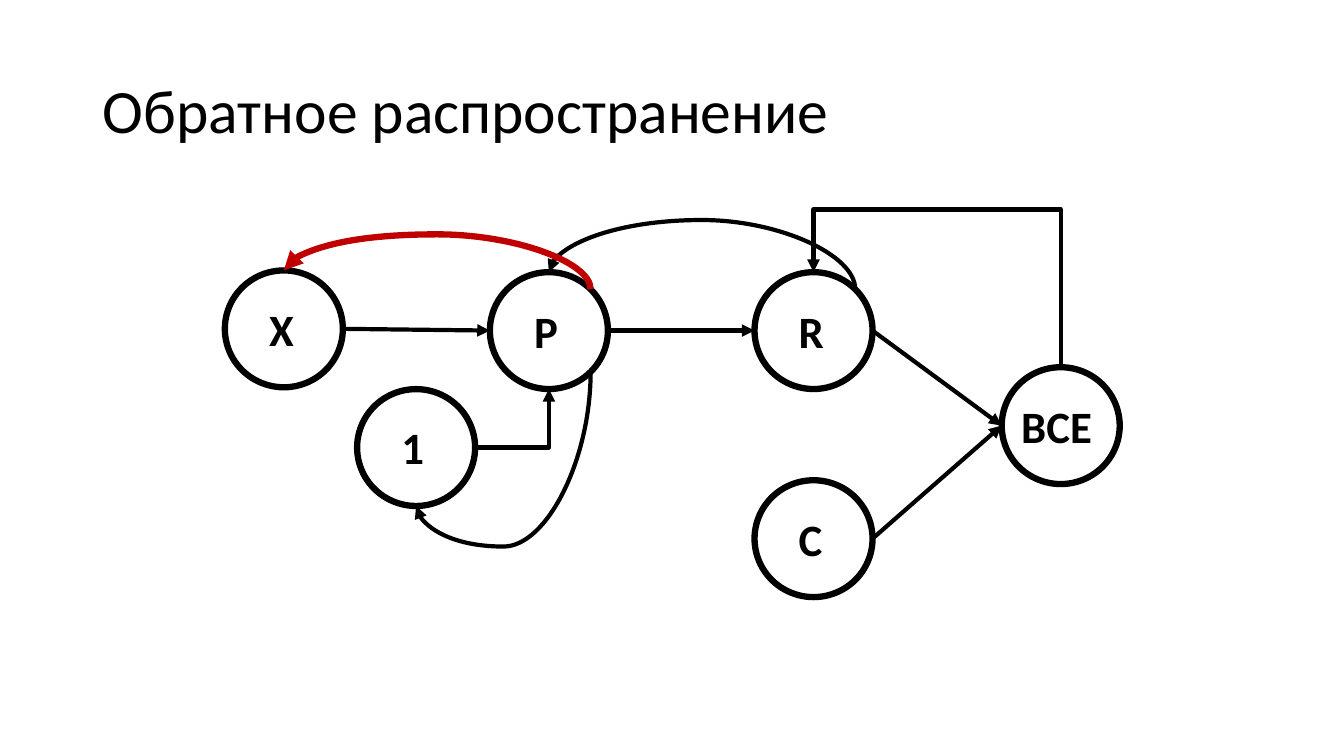
from dataclasses import dataclass
from math import cos, radians, sin

from lxml import etree
from pptx import Presentation
from pptx.dml.color import RGBColor
from pptx.enum.shapes import MSO_CONNECTOR, MSO_SHAPE
from pptx.enum.text import MSO_ANCHOR, PP_ALIGN
from pptx.oxml.ns import qn
from pptx.util import Inches, Pt

OVAL = MSO_SHAPE.OVAL
STRAIGHT, ELBOW, CURVE = MSO_CONNECTOR.STRAIGHT, MSO_CONNECTOR.ELBOW, MSO_CONNECTOR.CURVE
MIDDLE, TOP = MSO_ANCHOR.MIDDLE, MSO_ANCHOR.TOP
LEFT = PP_ALIGN.LEFT
RIGHT_SIDE, BOTTOM_RIGHT, BOTTOM_SIDE, LEFT_SIDE, TOP_SIDE, TOP_RIGHT = 0, 45, 90, 180, 270, 315


@dataclass(frozen=True)
class Theme:
    """Colours, font, type sizes and line widths of the deck."""
    ink: RGBColor = RGBColor(0, 0, 0)
    paper: RGBColor = RGBColor(255, 255, 255)
    accent: RGBColor = RGBColor(192, 0, 0)
    font: str = "Calibri"
    title_size: float = 44
    label_size: float = 32
    thin: float = 3
    thick: float = 4.5


@dataclass(frozen=True)
class Node:
    """A circle of the graph, placed by its centre in percent of the slide."""
    x: float
    y: float
    radius_x: float = 4.39
    radius_y: float = 7.73

    def site(self, angle):
        """Return the point on the rim at a clockwise angle from the right."""
        turn = radians(angle)
        return self.x + self.radius_x * cos(turn), self.y + self.radius_y * sin(turn)


class Painter:
    """Draws elements on a slide with lengths in percent of its size."""

    def __init__(self, deck, theme):
        """Open a blank page."""
        self.theme = theme
        self.width, self.height = deck.slide_width, deck.slide_height
        self.page = deck.slides.add_slide(deck.slide_layouts[6])

    def point(self, x, y):
        """Turn percentages into slide lengths."""
        return round(self.width * x / 100), round(self.height * y / 100)

    def text(self, text, x, y, width, height, size, bold=False, anchor=TOP, spacing=1.0):
        """Add a text box with one formatted paragraph."""
        box = self.page.shapes.add_textbox(*self.point(x, y), *self.point(width, height))
        frame = box.text_frame
        frame.word_wrap = True
        frame.vertical_anchor = anchor
        para = frame.paragraphs[0]
        para.alignment = LEFT
        para.line_spacing = spacing
        span = para.add_run()
        span.text = text
        span.font.name = self.theme.font
        span.font.size = Pt(size)
        span.font.bold = bold
        span.font.color.rgb = self.theme.ink

    def node(self, label, node):
        """Add a circle and its label."""
        corner = self.point(node.x - node.radius_x, node.y - node.radius_y)
        circle = self.page.shapes.add_shape(
            OVAL, *corner, *self.point(2 * node.radius_x, 2 * node.radius_y))
        circle.shadow.inherit = False
        circle.fill.solid()
        circle.fill.fore_color.rgb = self.theme.paper
        circle.line.color.rgb = self.theme.ink
        circle.line.width = Pt(self.theme.thick)
        width = 3.68 if len(label) == 1 else 7.35
        self.text(label, node.x - width / 2, node.y - 4.27, width, 8.6,
                  self.theme.label_size, bold=True)

    def arrow(self, kind, start, end, color=None, weight=None):
        """Add a connector with a triangle at its end."""
        line = self.page.shapes.add_connector(kind, *start, *end)
        line.line.color.rgb = color or self.theme.ink
        line.line.width = Pt(weight or self.theme.thin)
        etree.SubElement(line.line._get_or_add_ln(), qn("a:tailEnd"), type="triangle")
        etree.SubElement(line._element.spPr, qn("a:effectLst"))
        return line

    def straight(self, start, end):
        """Add a straight arrow between two points."""
        return self.arrow(STRAIGHT, self.point(*start), self.point(*end))

    def corner(self, start, end):
        """Add an arrow that runs sideways and then turns once."""
        line = self.arrow(ELBOW, self.point(*start), self.point(*end))
        line._element.spPr.find(qn("a:prstGeom")).set("prst", "bentConnector2")

    def loop(self, kind, start, end, level, **style):
        """Add an arrow that leaves vertically, runs left at a level and returns."""
        (x1, y1), (x2, y2) = self.point(*start), self.point(*end)
        across, down = abs(x2 - x1), abs(y2 - y1)
        left, top = (x1 + x2 - down) // 2, (y1 + y2 - across) // 2
        near, far = (left, top), (left + down, top + across)
        if y2 < y1:
            near, far = (left, top + across), (left + down, top)
        line = self.arrow(kind, near, far, **style)
        line.rotation = 270 if y2 < y1 else 90
        properties = line._element.spPr
        properties.find(qn("a:xfrm")).set("rot", str(line.rotation * 60000))
        geometry = properties.find(qn("a:prstGeom"))
        guides = geometry.find(qn("a:avLst"))
        if guides is None:
            guides = etree.SubElement(geometry, qn("a:avLst"))
        bend = round((level - start[1]) / (end[1] - start[1]) * 100000)
        etree.SubElement(guides, qn("a:gd"), name="adj1", fmla=f"val {bend}")


def main():
    """Build the back propagation slide."""
    deck = Presentation()
    deck.slide_width, deck.slide_height = Inches(13.33), Inches(7.5)
    theme = Theme()
    painter = Painter(deck, theme)
    painter.text("Обратное распространение", 6.9, 5.33, 86.25, 19.33,
                 theme.title_size, anchor=MIDDLE, spacing=0.9)

    source, product, result = Node(21.12, 43.5), Node(40.84, 43.73), Node(60.53, 43.73)
    one, target, loss = Node(30.96, 59.2), Node(60.53, 71.25), Node(78.92, 56.3)
    nodes = {"X": source, "P": product, "1": one, "R": result, "С": target, "BCE": loss}
    for label, node in nodes.items():
        painter.node(label, node)

    for start, end in ((source, product), (product, result), (target, loss), (result, loss)):
        painter.straight(start.site(RIGHT_SIDE), end.site(LEFT_SIDE))
    painter.corner(one.site(RIGHT_SIDE), product.site(BOTTOM_SIDE))

    painter.loop(ELBOW, loss.site(TOP_SIDE), result.site(TOP_SIDE), 27.7)
    painter.loop(CURVE, result.site(TOP_RIGHT), product.site(TOP_SIDE), 29.1)
    painter.loop(CURVE, product.site(BOTTOM_RIGHT), one.site(BOTTOM_SIDE), 72.3)
    painter.loop(CURVE, product.site(TOP_RIGHT), source.site(TOP_SIDE), 31.0,
                 color=theme.accent, weight=theme.thick)
    deck.save("out.pptx")


if __name__ == "__main__":
    main()
